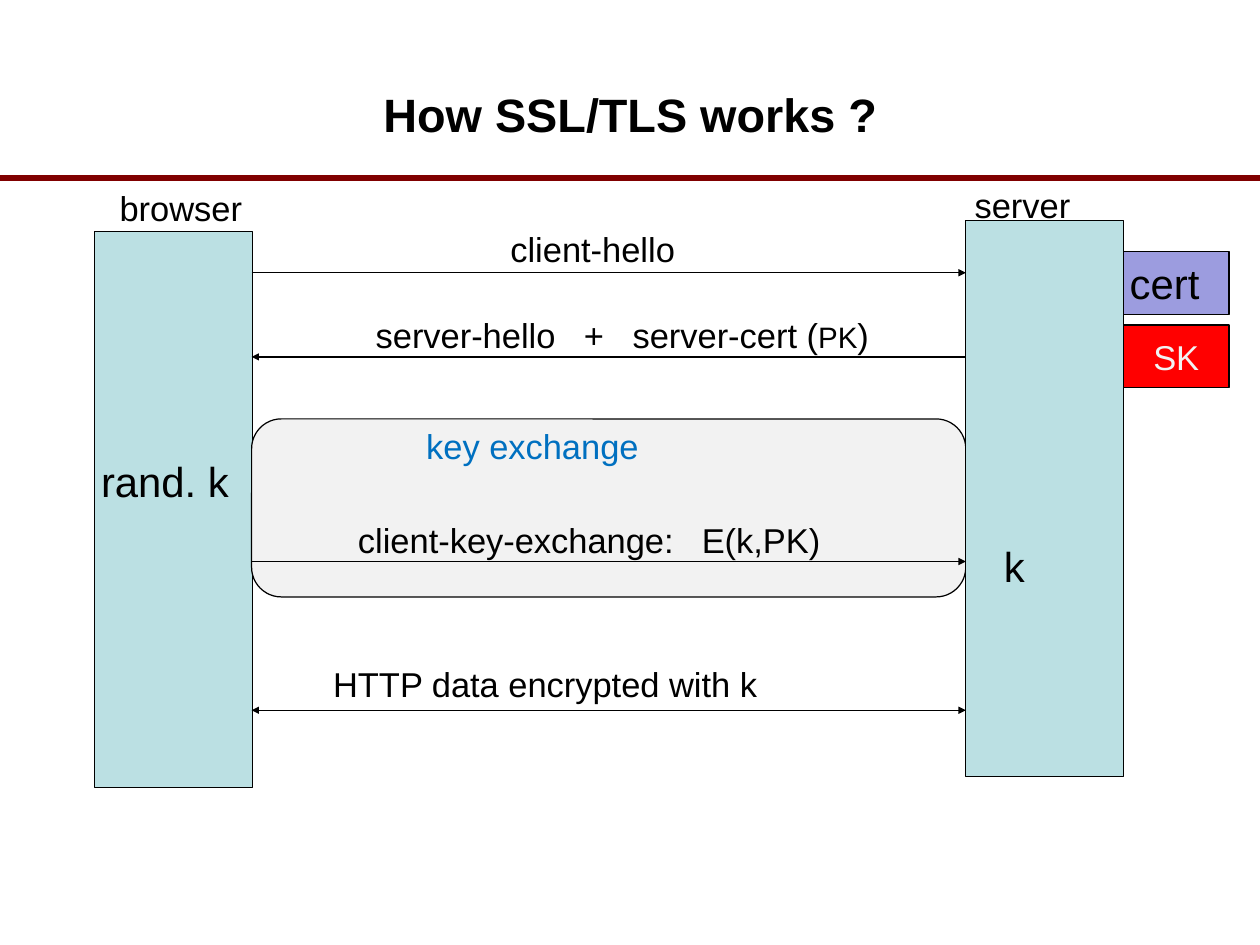
from lxml import etree
from pptx import Presentation
from pptx.dml.color import RGBColor
from pptx.enum import shapes, text
from pptx.oxml import ns
from pptx.util import Inches, Pt

BLACK = RGBColor(0x00, 0x00, 0x00)
MAROON = RGBColor(0x80, 0x00, 0x00)
TEAL = RGBColor(0xBB, 0xE0, 0xE3)
RED = RGBColor(0xFF, 0x00, 0x00)
PALE = RGBColor(0xF2, 0xF2, 0xF2)
VIOLET = RGBColor(0x9C, 0x9C, 0xDF)
BLUE = RGBColor(0x00, 0x70, 0xC0)

BROWSER_EDGE, SERVER_EDGE, SERVER_RIGHT = 2.84, 10.9, 12.68
RECT = shapes.MSO_SHAPE.RECTANGLE
ROUNDED = shapes.MSO_SHAPE.ROUNDED_RECTANGLE
TOP, MIDDLE = text.MSO_ANCHOR.TOP, text.MSO_ANCHOR.MIDDLE
LEFT, CENTER = text.PP_ALIGN.LEFT, text.PP_ALIGN.CENTER

deck = Presentation()
deck.slide_width, deck.slide_height = Inches(14.22), Inches(10.67)
page = deck.slides.add_slide(deck.slide_layouts[5])


def write(box, runs, color=BLACK, align=LEFT, anchor=TOP, bold=False, tabs=()):
    """Fill a box with one paragraph made of (words, size) runs."""
    frame = box.text_frame
    margins = dict.fromkeys(
        ("margin_left", "margin_top", "margin_right", "margin_bottom"), Inches(0.07))
    for name, value in {**margins, "word_wrap": True, "vertical_anchor": anchor}.items():
        setattr(frame, name, value)
    para = frame.paragraphs[0]
    para.alignment = align
    if tabs:
        stops = etree.SubElement(para._p.get_or_add_pPr(), ns.qn("a:tabLst"))
        for stop in tabs:
            etree.SubElement(stops, ns.qn("a:tab"), pos=str(Inches(stop)), algn="l")
    for words, size in runs:
        span = para.add_run()
        span.text = words
        for name, value in {"name": "Arial", "size": Pt(size), "bold": bold}.items():
            setattr(span.font, name, value)
        span.font.color.rgb = color


def draw_line(x1, x2, y, color=BLACK, width=1, ends=()):
    """Draw a level line with arrowheads at the given ends."""
    line = page.shapes.add_connector(
        shapes.MSO_CONNECTOR.STRAIGHT, Inches(x1), Inches(y), Inches(x2), Inches(y))
    line.line.color.rgb = color
    line.line.width = Pt(width)
    for end in ends:
        etree.SubElement(line.line._get_or_add_ln(), ns.qn("a:" + end), type="triangle")
    etree.SubElement(line._element.spPr, ns.qn("a:effectLst"))


# Title and rule
draw_line(0, 14.22, 2.01, MAROON, 5)
title = page.shapes.title
title.left, title.top, title.width, title.height = map(Inches, (1.07, 0.39, 12.09, 1.78))
write(title, [("How SSL/TLS works ?", 38)], align=CENTER, anchor=MIDDLE, bold=True)

# Browser, key exchange, server, certificate and secret key
blocks = [
    (RECT, 1.07, 2.61, 1.78, 6.28, TEAL, None),
    (ROUNDED, BROWSER_EDGE, 4.73, SERVER_EDGE - BROWSER_EDGE, 2.01, PALE, None),
    (RECT, SERVER_EDGE, 2.49, 1.78, 6.28, TEAL, None),
    (RECT, SERVER_RIGHT, 2.84, 1.19, 0.71, VIOLET, {"runs": [("cert", 34)]}),
    (RECT, SERVER_RIGHT, 3.67, 1.19, 0.71, RED,
     {"runs": [("SK", 28)], "color": PALE, "align": CENTER, "anchor": MIDDLE}),
]
for kind, left, top, width, height, fill, label in blocks:
    block = page.shapes.add_shape(kind, *map(Inches, (left, top, width, height)))
    block.shadow.inherit = False
    block.fill.solid()
    block.fill.fore_color.rgb = fill
    block.line.color.rgb = BLACK
    block.line.width = Pt(1)
    if label:
        write(block, **label)

# Message arrows
for y, start, finish, ends in [
    (3.08, BROWSER_EDGE, SERVER_EDGE, ["tailEnd"]),
    (4.03, SERVER_EDGE, BROWSER_EDGE, ["tailEnd"]),
    (6.34, BROWSER_EDGE, SERVER_EDGE, ["tailEnd"]),
    (8.02, BROWSER_EDGE, SERVER_EDGE, ["headEnd", "tailEnd"]),
]:
    draw_line(start, finish, y, ends=ends)

# Labels: left, top, width, height, runs, colour, tab stops
for left, top, width, height, runs, color, tabs in [
    (1.28, 2.04, 1.6, 0.57, [("browser", 28)], BLACK, ()),
    (10.93, 2.01, 1.3, 0.57, [("server", 28)], BLACK, ()),
    (5.69, 2.51, 2.1, 0.57, [("client-hello", 28)], BLACK, ()),
    (4.17, 3.48, 5.8, 0.57,
     [("server-hello\t+\tserver-cert (", 28), ("PK", 24), (")", 28)], BLACK, (2.35, 2.9)),
    (4.74, 4.73, 2.6, 0.57, [("key exchange", 28)], BLUE, ()),
    (3.97, 5.79, 5.45, 0.57, [("client-key-exchange:\tE(k,PK)", 28)], BLACK, (3.88,)),
    (1.07, 5.08, 1.78, 0.67, [("rand. k", 34)], BLACK, ()),
    (11.26, 6.04, 0.45, 0.67, [("k", 34)], BLACK, ()),
    (3.69, 7.42, 5, 0.57, [("HTTP data encrypted with k", 28)], BLACK, ()),
]:
    box = page.shapes.add_textbox(*map(Inches, (left, top, width, height)))
    write(box, runs, color, tabs=tabs)

deck.save("out.pptx")
